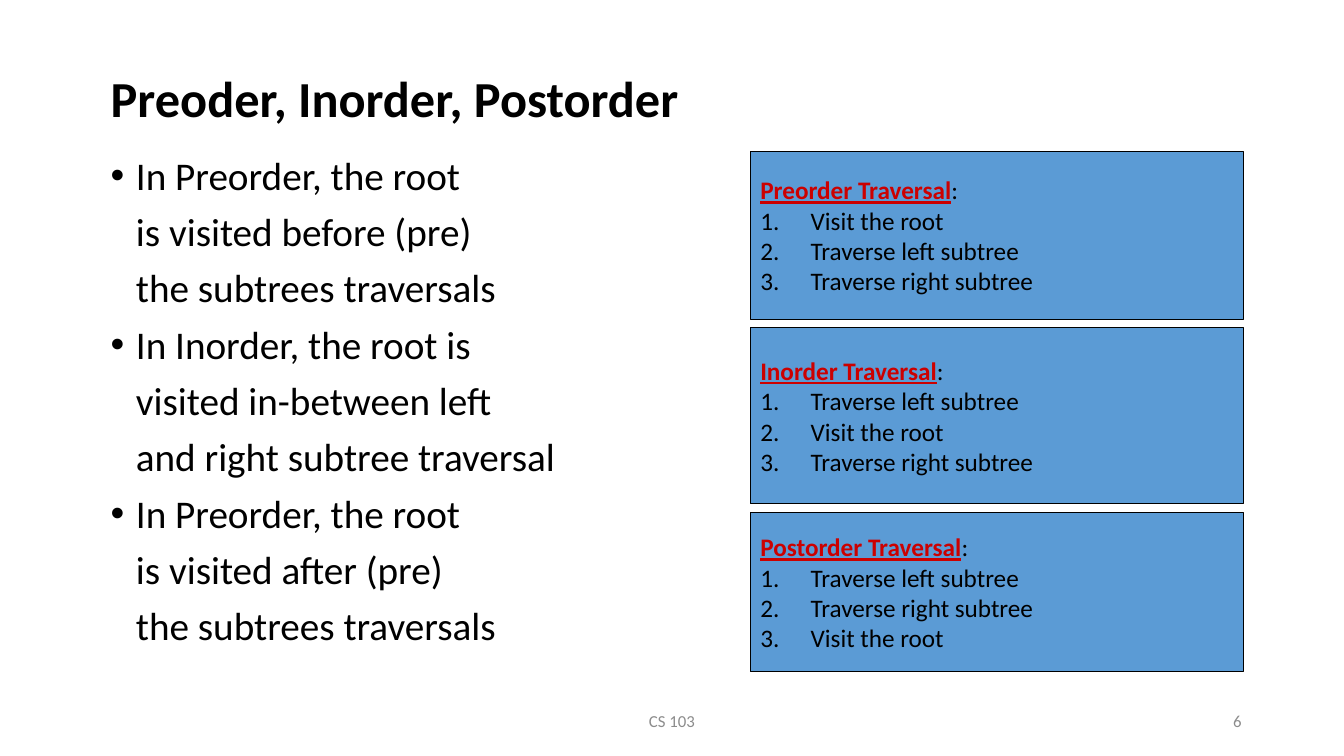
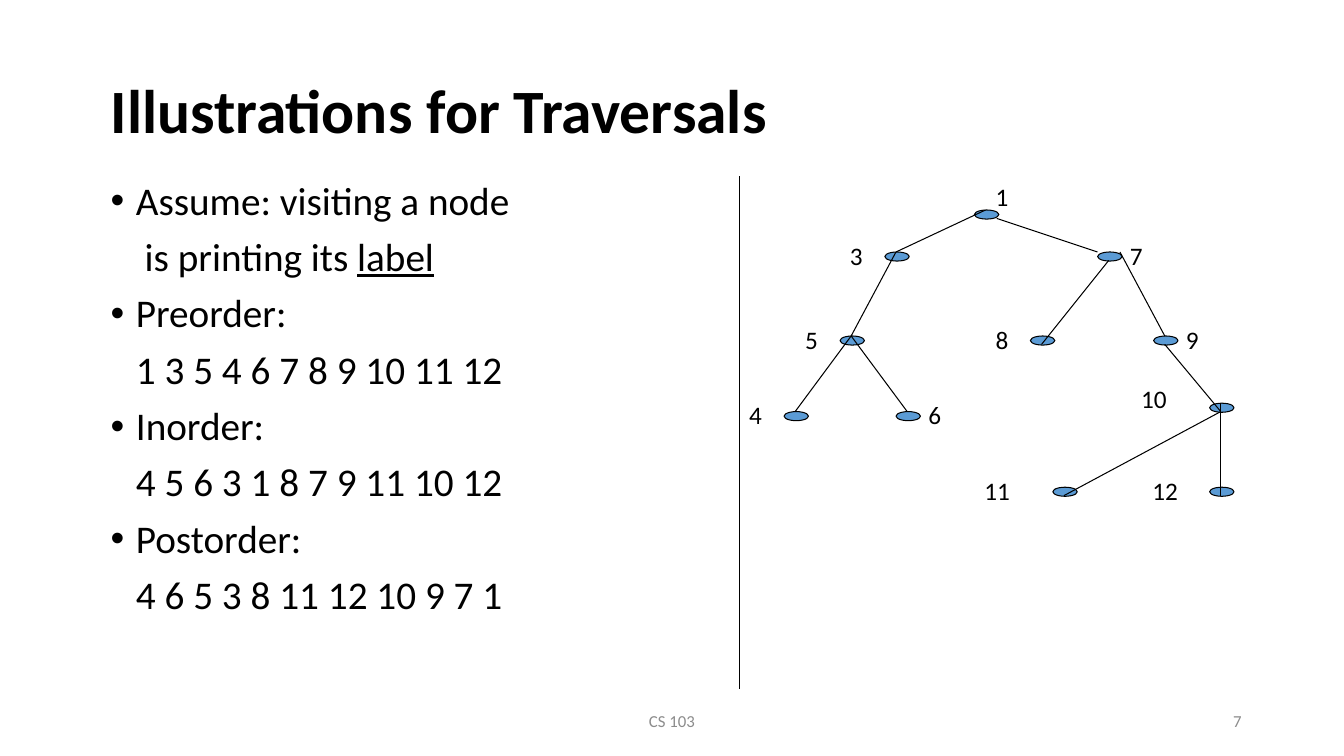
from dataclasses import dataclass
from typing import NamedTuple

from lxml.etree import SubElement
from pptx import Presentation
from pptx.dml.color import RGBColor
from pptx.enum.shapes import MSO_CONNECTOR, MSO_SHAPE
from pptx.enum.text import MSO_ANCHOR, PP_ALIGN
from pptx.oxml.ns import qn
from pptx.slide import Slide
from pptx.text.text import TextFrame
from pptx.util import Emu, Pt

SCALE = 6350
FONT = "Calibri"
BLACK = RGBColor(0x00, 0x00, 0x00)
GREY = RGBColor(0x8C, 0x8C, 0x8C)
BLUE = RGBColor(0x5B, 0x9B, 0xD5)
RED = RGBColor(0xCC, 0x00, 0x00)
LEFT, WIDE = 144, 1632
FLOOR = 960
GAP = 12
DOT_W, DOT_H = 35, 13
NUMBER = ("a:buAutoNum", {"type": "arabicPeriod"})
BULLET = ("a:buChar", {"char": "•"})


class Box(NamedTuple):
    left: int
    top: int
    width: int
    height: int


class Spot(NamedTuple):
    right: int
    down: int


TOP, BASE = Spot(16, 0), Spot(16, 12)
WEST, EAST, LOWER = Spot(0, 0), Spot(32, 0), Spot(32, 12)


@dataclass(frozen=True)
class Style:
    size: int
    color: RGBColor = BLACK
    bold: bool = False
    align: PP_ALIGN = PP_ALIGN.LEFT
    line: float = 1.0
    before: int = 0
    margin: int = 0


@dataclass(frozen=True)
class Item:
    lines: tuple[str, ...]
    under: str = ""


@dataclass(frozen=True)
class Panel:
    name: str
    height: int
    steps: tuple[str, ...]


@dataclass(frozen=True)
class Node:
    left: int
    top: int
    tag: Spot
    width: int = 48


@dataclass(frozen=True)
class Edge:
    start: int
    end: int
    leave: Spot = TOP
    reach: Spot = TOP


BODY = Style(28, line=0.9, before=10, margin=36)
STEP = Style(18, align=PP_ALIGN.JUSTIFY, margin=72)
LABEL = Style(18)

RULES = (
    Item(("In Preorder, the root", "is visited before (pre)", "the subtrees traversals")),
    Item(("In Inorder, the root is", "visited in-between left", "and right subtree traversal")),
    Item(("In Preorder, the root", "is visited after (pre)", "the subtrees traversals")),
)
ORDERS = (
    Item(("Assume: visiting a node", " is printing its "), "label"),
    Item(("Preorder:", "1 3 5 4 6 7 8 9 10 11 12")),
    Item(("Inorder:", "4 5 6 3 1 8 7 9 11 10 12")),
    Item(("Postorder:", "4 6 5 3 8 11 12 10 9 7 1")),
)
ROOT, LESS, MORE = "Visit the root", "Traverse left subtree", "Traverse right subtree"
PANELS = (
    Panel("Preorder", 240, (ROOT, LESS, MORE)),
    Panel("Inorder", 252, (LESS, ROOT, MORE)),
    Panel("Postorder", 228, (LESS, MORE, ROOT)),
)
NODES = {
    1: Node(1392, 300, Spot(16, -48)),
    3: Node(1264, 360, Spot(-64, -24)),
    7: Node(1568, 360, Spot(32, -24)),
    5: Node(1200, 480, Spot(-64, -24)),
    8: Node(1472, 480, Spot(-64, -24)),
    9: Node(1648, 480, Spot(32, -24)),
    4: Node(1120, 588, Spot(-64, -24)),
    6: Node(1280, 588, Spot(32, -24)),
    10: Node(1728, 576, Spot(-112, -36), 66),
    11: Node(1504, 696, Spot(-112, -24), 118),
    12: Node(1728, 696, Spot(-96, -24), 118),
}
EDGES = (
    Edge(1, 3),
    Edge(1, 7, LOWER, WEST),
    Edge(3, 5),
    Edge(7, 8, BASE, BASE),
    Edge(7, 9, EAST),
    Edge(5, 4),
    Edge(5, 6),
    Edge(9, 10, BASE, BASE),
    Edge(10, 11, BASE, BASE),
    Edge(10, 12, TOP, BASE),
)


def px(count: int) -> Emu:
    return Emu(count * SCALE)


def put_line(frame: TextFrame, text: str, style: Style, mark=None, hang: bool = False):
    para = frame.paragraphs[0]
    if para.runs:
        para = frame.add_paragraph()
    para.alignment = style.align
    para.line_spacing = style.line
    para.space_before = Pt(style.before)
    props = para._p.get_or_add_pPr()
    props.set("marL", str(px(style.margin)))
    props.set("indent", str(-px(style.margin) if mark or hang else 0))
    if mark:
        name, values = mark
        SubElement(props, qn("a:buFont"), typeface="Arial" if mark is BULLET else "+mj-lt")
        SubElement(props, qn(name), values)
    else:
        SubElement(props, qn("a:buNone"))
    font = para.font
    font.name, font.size, font.bold = FONT, Pt(style.size), style.bold
    font.color.rgb = style.color
    para.add_run().text = text
    return para


def put_box(slide: Slide, box: Box, middle: bool = False, wrap: bool = True) -> TextFrame:
    frame = slide.shapes.add_textbox(*map(px, box)).text_frame
    frame.word_wrap = wrap
    frame.vertical_anchor = MSO_ANCHOR.MIDDLE if middle else MSO_ANCHOR.TOP
    return frame


def put_shape(slide: Slide, kind: MSO_SHAPE, box: Box):
    shape = slide.shapes.add_shape(kind, *map(px, box))
    shape.shadow.inherit = False
    shape.fill.solid()
    shape.fill.fore_color.rgb = BLUE
    shape.line.color.rgb = BLACK
    shape.line.width = Pt(0.75)
    return shape


def put_rule(slide: Slide, *ends: int) -> None:
    rule = slide.shapes.add_connector(MSO_CONNECTOR.STRAIGHT, *map(px, ends))
    rule.line.color.rgb = BLACK
    rule.line.width = Pt(0.75)
    SubElement(rule._element.spPr, qn("a:effectLst"))


def put_frame(deck, title: str, size: int, height: int, page: int) -> Slide:
    slide = deck.slides.add_slide(deck.slide_layouts[6])
    foot = put_box(slide, Box(636, 1001, 648, 58), True)
    put_line(foot, "CS 103", Style(12, GREY, align=PP_ALIGN.CENTER))
    foot = put_box(slide, Box(1356, 1001, 432, 58), True)
    put_line(foot, str(page), Style(12, GREY, align=PP_ALIGN.RIGHT))
    head = put_box(slide, Box(LEFT, 96, WIDE, height), True)
    put_line(head, title, Style(size, bold=True, line=0.9))
    return slide


def put_body(slide: Slide, top: int, items: tuple[Item, ...]) -> None:
    frame = put_box(slide, Box(LEFT, top, WIDE, FLOOR - top))
    for item in items:
        for place, text in enumerate(item.lines):
            para = put_line(frame, text, BODY, None if place else BULLET)
        if item.under:
            run = para.add_run()
            run.text = item.under
            run.font.underline = True


def put_panel(slide: Slide, top: int, panel: Panel) -> None:
    shape = put_shape(slide, MSO_SHAPE.RECTANGLE, Box(1072, top, 704, panel.height))
    frame = shape.text_frame
    frame.word_wrap = True
    frame.vertical_anchor = MSO_ANCHOR.MIDDLE
    para = put_line(frame, f"{panel.name} Traversal", STEP, hang=True)
    font = para.runs[0].font
    font.bold = font.underline = True
    font.color.rgb = RED
    colon = para.add_run()
    colon.text = ":"
    colon.font.color.rgb = BLACK
    for step in panel.steps:
        put_line(frame, step, STEP, NUMBER)


def put_tree(slide: Slide) -> None:
    for label, node in NODES.items():
        put_shape(slide, MSO_SHAPE.OVAL, Box(node.left, node.top, DOT_W, DOT_H))
        place = Box(node.left + node.tag.right, node.top + node.tag.down, node.width, 58)
        put_line(put_box(slide, place, wrap=node.width > 66), str(label), LABEL)
    for edge in EDGES:
        start, end = NODES[edge.start], NODES[edge.end]
        put_rule(
            slide,
            start.left + edge.leave.right,
            start.top + edge.leave.down,
            end.left + edge.reach.right,
            end.top + edge.reach.down,
        )


def main() -> None:
    deck = Presentation()
    deck.slide_width, deck.slide_height = px(1920), px(1080)

    slide = put_frame(deck, "Preoder, Inorder, Postorder", 36, 96, 6)
    put_body(slide, 216, RULES)
    top = 216
    for panel in PANELS:
        put_panel(slide, top, panel)
        top += panel.height + GAP

    slide = put_frame(deck, "Illustrations for Traversals", 44, 132, 7)
    put_body(slide, 252, ORDERS)
    put_tree(slide)
    put_rule(slide, 1056, 252, 1056, 984)

    deck.save("out.pptx")


if __name__ == "__main__":
    main()
